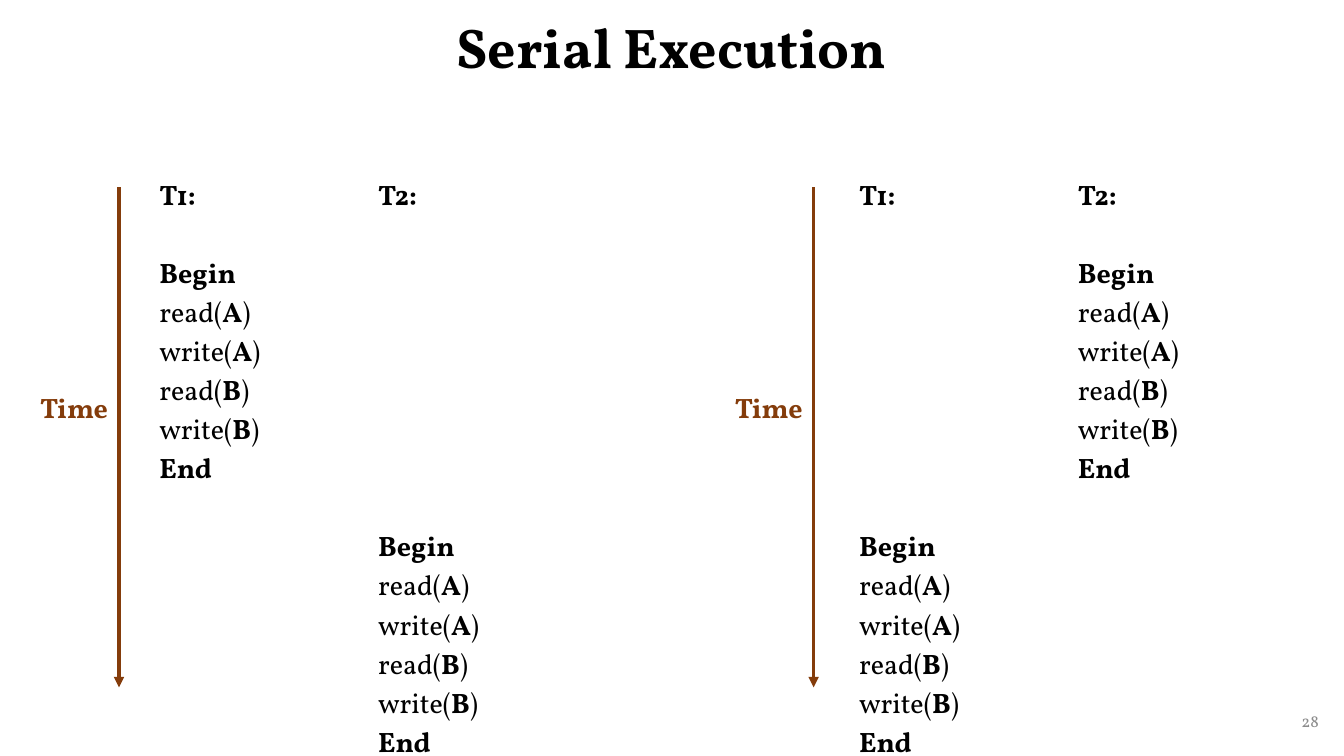
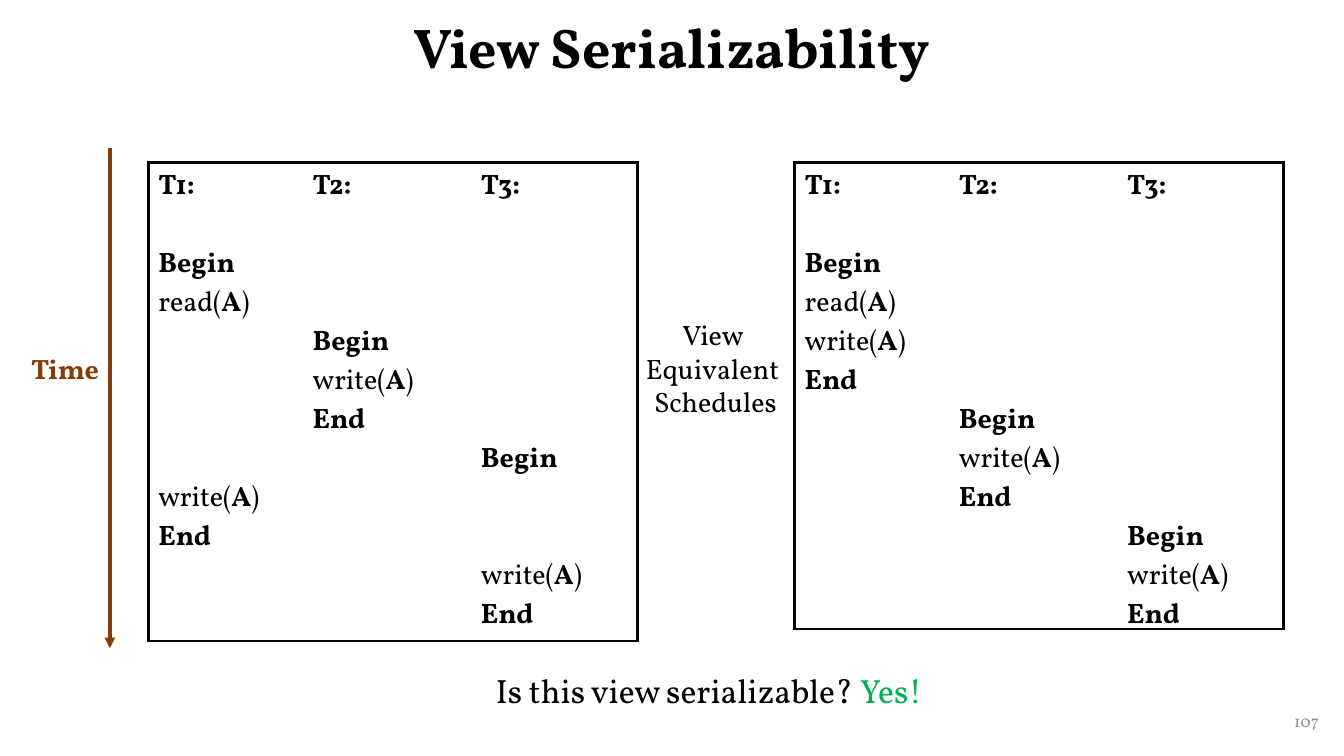
"""Builds two slides on serial schedules and view serializability."""
from dataclasses import dataclass

from lxml.etree import SubElement
from pptx import Presentation
from pptx.dml.color import RGBColor
from pptx.enum.shapes import MSO_CONNECTOR
from pptx.enum.text import MSO_ANCHOR, MSO_AUTO_SIZE, PP_ALIGN
from pptx.oxml.ns import qn
from pptx.util import Inches, Pt


@dataclass(frozen=True)
class Theme:
    font: str = "Vollkorn"
    ink: str = "000000"
    time: str = "843C0B"
    answer: str = "00B050"
    muted: str = "8C8C8C"
    title_size: float = 40
    question_size: float = 24
    body_size: float = 20
    number_size: float = 12
    step_pitch: float = 27.9
    arrow_width: float = 2.5
    border_width: float = 2.25


theme = Theme()


def write(paragraph, text, size=theme.body_size, color=theme.ink, bold=False, align=None):
    run = paragraph.add_run()
    run.text = text
    run.font.name = theme.font
    run.font.size = Pt(size)
    run.font.bold = bold
    run.font.color.rgb = RGBColor.from_string(color)
    if align is not None:
        paragraph.alignment = align


def add_frame(shapes, box, anchor=MSO_ANCHOR.TOP, wrap=True):
    frame = shapes.add_textbox(*map(Inches, box)).text_frame
    frame.word_wrap = wrap
    frame.vertical_anchor = anchor
    return frame


transaction = "Begin read(A) write(A) read(B) write(B) End"
blind_write = "Begin write(A) End"
serial_widths = (2.17, 2.05)
view_widths = (1.53, 1.67, 1.65)

slides_content = [
    {
        "title": "Serial Execution",
        "number": "28",
        "timelines": [(1.18, 1.86), (8.07, 1.86)],
        "schedules": [
            (1.48, 1.72, 3.36, serial_widths, False,
             [{2: transaction}, {9: transaction}]),
            (8.42, 1.72, 3.36, serial_widths, False,
             [{9: transaction}, {2: transaction}]),
        ],
    },
    {
        "title": "View Serializability",
        "number": "107",
        "timelines": [(1.09, 1.47)],
        "schedules": [
            (1.47, 1.61, 4.75, view_widths, True,
             [{2: "Begin read(A)", 8: "write(A) End"}, {4: blind_write},
              {7: "Begin", 10: "write(A) End"}]),
            (7.88, 1.61, 4.63, view_widths, True,
             [{2: "Begin read(A) write(A) End"}, {6: blind_write}, {9: blind_write}]),
        ],
    },
]

presentation = Presentation()
presentation.slide_width = Inches(13.33)
presentation.slide_height = Inches(7.5)

for content in slides_content:
    slide = presentation.slides.add_slide(presentation.slide_layouts[5])
    title = slide.shapes.title
    title.left, title.top, title.width, title.height = map(Inches, (0.91, 0, 11.5, 0.99))
    title.text_frame.vertical_anchor = MSO_ANCHOR.MIDDLE
    title.text_frame.auto_size = MSO_AUTO_SIZE.NONE
    heading = title.text_frame.paragraphs[0]
    heading.line_spacing = 0.9
    write(heading, content["title"], size=theme.title_size, bold=True, align=PP_ALIGN.CENTER)

    number = add_frame(slide.shapes, (10.18, 6.95, 3, 0.4), anchor=MSO_ANCHOR.MIDDLE)
    write(number.paragraphs[0], content["number"], size=theme.number_size,
          color=theme.muted, align=PP_ALIGN.RIGHT)

    for left, top, height, widths, bordered, columns in content["schedules"]:
        schedule = slide.shapes.add_table(
            1, len(widths), Inches(left), Inches(top), Inches(sum(widths)), Inches(height)
        ).table
        schedule.first_row = schedule.horz_banding = False
        for index, (width, blocks) in enumerate(zip(widths, columns)):
            schedule.columns[index].width = Inches(width)
            cell = schedule.cell(0, index)
            cell.margin_bottom = 0

            edges = {"lnL": index == 0, "lnR": index == len(widths) - 1,
                     "lnT": True, "lnB": True}
            properties = cell._tc.get_or_add_tcPr()
            for edge, outer in edges.items():
                border = SubElement(properties, qn(f"a:{edge}"), w=str(Pt(theme.border_width)))
                if bordered and outer:
                    fill = SubElement(border, qn("a:solidFill"))
                    SubElement(fill, qn("a:srgbClr"), val=theme.ink)
                else:
                    SubElement(border, qn("a:noFill"))
            cell.fill.background()

            write(cell.text_frame.paragraphs[0], f"T{index + 1}:", bold=True)
            next_line = 1
            for start, steps in blocks.items():
                for line, step in enumerate(steps.split(), start):
                    paragraph = cell.text_frame.add_paragraph()
                    paragraph.space_before = Pt((line - next_line) * theme.step_pitch)
                    next_line = line + 1
                    action, bracket, item = step.partition("(")
                    if bracket:
                        write(paragraph, action + bracket)
                        write(paragraph, item[:-1], bold=True)
                        write(paragraph, ")")
                    else:
                        write(paragraph, step, bold=True)

    for x, top in content["timelines"]:
        timeline = slide.shapes.add_group_shape().shapes
        arrow = timeline.add_connector(
            MSO_CONNECTOR.STRAIGHT, Inches(x), Inches(top), Inches(x), Inches(top + 4.96))
        arrow.line.color.rgb = RGBColor.from_string(theme.time)
        arrow.line.width = Pt(theme.arrow_width)
        SubElement(arrow.line._get_or_add_ln(), qn("a:tailEnd"), type="triangle")
        SubElement(arrow._element.spPr, qn("a:effectLst"))
        label = add_frame(timeline, (x - 0.88, top + 1.97, 0.89, 0.44))
        write(label.paragraphs[0], "Time", color=theme.time, bold=True)

question = add_frame(slide.shapes, (4.82, 6.6, 4.85, 0.5)).paragraphs[0]
write(question, "Is this view serializable? ", size=theme.question_size)
write(question, "Yes!", size=theme.question_size, color=theme.answer)

relation = add_frame(slide.shapes, (6.29, 3.1, 1.61, 1.11), wrap=False)
for index, words in enumerate(("View ", "Equivalent ", "Schedules")):
    paragraph = relation.add_paragraph() if index else relation.paragraphs[0]
    write(paragraph, words, align=PP_ALIGN.CENTER)

presentation.save("out.pptx")
